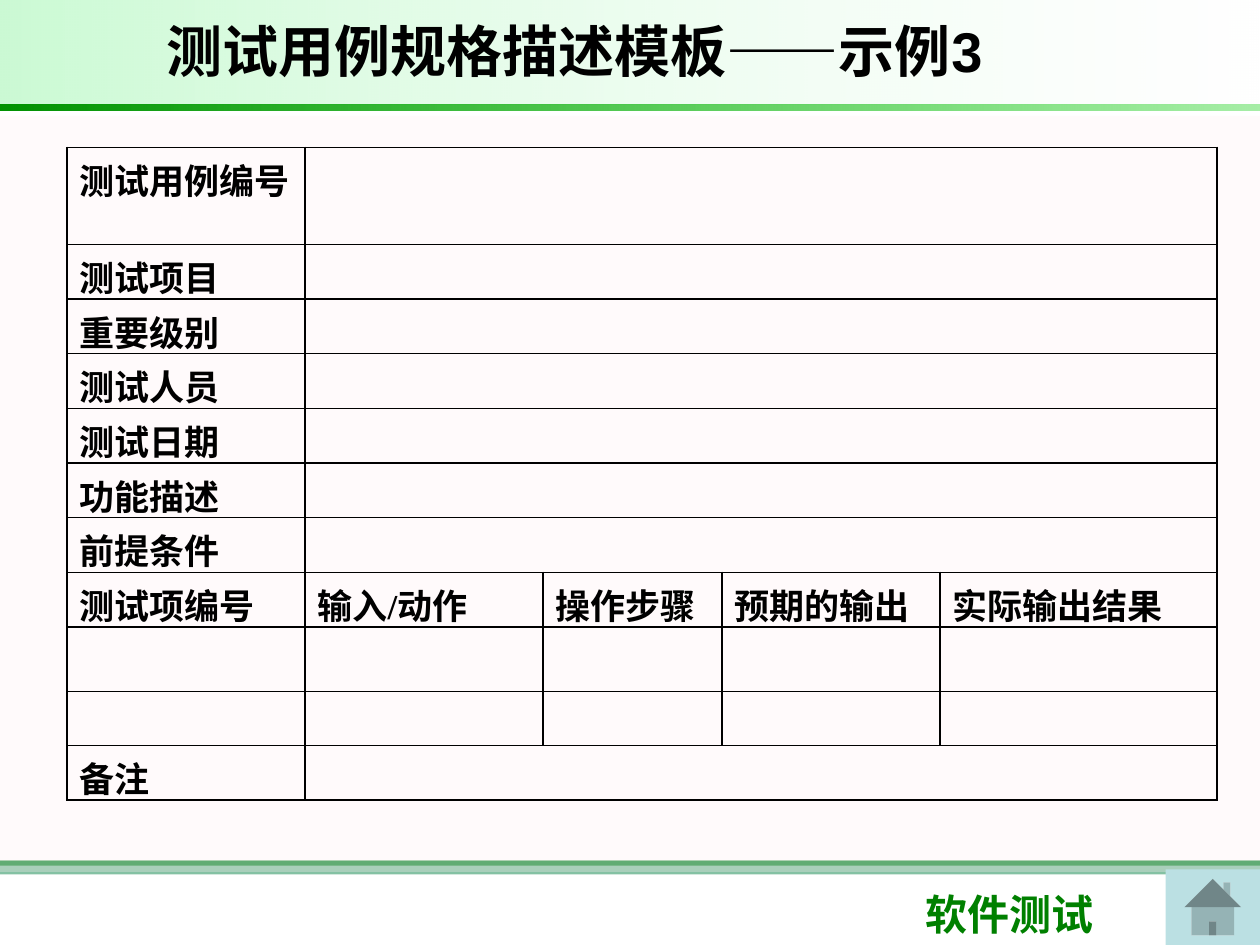
from pptx import Presentation
from pptx.dml.color import RGBColor
from pptx.enum.shapes import MSO_SHAPE
from pptx.enum.text import MSO_ANCHOR, MSO_AUTO_SIZE, PP_ALIGN
from pptx.oxml.ns import qn
from pptx.util import Inches, Pt
from lxml import etree

RECT = MSO_SHAPE.RECTANGLE
HOME = MSO_SHAPE.ACTION_BUTTON_HOME
MIDDLE = MSO_ANCHOR.MIDDLE
GROW = MSO_AUTO_SIZE.SHAPE_TO_FIT_TEXT
LEFT = PP_ALIGN.LEFT

BLACK = RGBColor(0x00, 0x00, 0x00)
WHITE = RGBColor(0xFF, 0xFF, 0xFF)
GREEN = RGBColor(0x00, 0x80, 0x00)
SEA = RGBColor(0x33, 0x99, 0x66)
BLUSH = RGBColor(0xFF, 0xF0, 0xF5)
LIME = RGBColor(0x09, 0xE7, 0x33)
GRASS = RGBColor(0x00, 0xCC, 0x00)
DEEP = RGBColor(0x00, 0x92, 0x00)
PALE = RGBColor(0xBB, 0xE0, 0xE3)

COLS = [1.89, 1.89, 1.42, 1.73, 2.2]
ROWS = [0.77] + [0.43] * 7 + [0.51] + [0.43] * 2
FIELDS = ["测试用例编号", "测试项目", "重要级别", "测试人员",
          "测试日期", "功能描述", "前提条件"]
STEPS = ["测试项编号", "输入/动作", "操作步骤", "预期的输出", "实际输出结果"]
# A row with a single label has one merged cell for its value.
CELLS = [[name] for name in FIELDS] + [STEPS, [""] * 5, [""] * 5, ["备注"]]


def fade(node, alpha):
    """Set the opacity, in percent, of the colour inside node."""
    color = next(node.iter(qn("a:srgbClr")))
    etree.SubElement(color, qn("a:alpha"), val=str(alpha * 1000))


def edge(cell):
    """Draw a thin black border round a cell."""
    props = cell._tc.get_or_add_tcPr()
    for side in ("lnL", "lnR", "lnT", "lnB"):
        line = etree.SubElement(props, qn("a:" + side), w=str(Pt(1)))
        fill = etree.SubElement(line, qn("a:solidFill"))
        etree.SubElement(fill, qn("a:srgbClr"), val=str(BLACK))


class Page:
    head = "Arial"
    body = "Times New Roman"

    def __init__(self, deck):
        self.slide = deck.slides.add_slide(deck.slide_layouts[5])
        self.shapes = self.slide.shapes

    def style(self, frame, text, size, font, color):
        frame.text = text
        para = frame.paragraphs[0]
        para.alignment = LEFT
        for run in para.runs:
            run.font.size = Pt(size)
            run.font.name = font
            run.font.bold = True
            run.font.color.rgb = color

    def shape(self, box, color=None, alpha=100, kind=RECT):
        item = self.shapes.add_shape(kind, *map(Inches, box))
        item.shadow.inherit = False
        item.line.fill.background()
        if color is not None:
            item.fill.solid()
            item.fill.fore_color.rgb = color
            if alpha < 100:
                fade(item._element.spPr, alpha)
        return item

    def band(self, box, stops):
        """Add a bar that fades from right to left."""
        item = self.shape(box)
        item.rotation = 180
        item.fill.gradient()
        item.fill.gradient_angle = 0
        nodes = item._element.spPr.iter(qn("a:gs"))
        for stop, node, (color, alpha) in zip(
                item.fill.gradient_stops, list(nodes), stops):
            stop.color.rgb = color
            fade(node, alpha)

    def label(self, box, text):
        frame = self.shapes.add_textbox(*map(Inches, box)).text_frame
        frame.word_wrap = True
        frame.auto_size = GROW
        self.style(frame, text, 24, self.head, GREEN)

    def title(self, box, text):
        item = self.shapes.title
        item.left, item.top, item.width, item.height = map(Inches, box)
        frame = item.text_frame
        frame.auto_size = GROW
        frame.vertical_anchor = MIDDLE
        self.style(frame, text, 32, self.head, BLACK)
        tree = item._element.getparent()
        tree.append(item._element)

    def table(self, left, top):
        box = (left, top, sum(COLS), sum(ROWS))
        grid = self.shapes.add_table(
            len(ROWS), len(COLS), *map(Inches, box)).table
        grid.first_row = grid.horz_banding = False
        for col, width in zip(grid.columns, COLS):
            col.width = Inches(width)
        for row, high in zip(grid.rows, ROWS):
            row.height = Inches(high)
        for cell in grid.iter_cells():
            edge(cell)
            cell.fill.background()
        for r, texts in enumerate(CELLS):
            if len(texts) == 1:
                grid.cell(r, 1).merge(grid.cell(r, len(COLS) - 1))
            for c, text in enumerate(texts):
                if text:
                    self.style(grid.cell(r, c).text_frame, text, 20,
                               self.body, BLACK)


def main():
    deck = Presentation()
    deck.slide_width, deck.slide_height = Inches(10), Inches(7.5)
    page = Page(deck)
    page.shape((0, 6.83, 10, 0.04), GREEN)
    page.shape((0, 6.83, 10, 0.11), SEA, 60)
    page.shape((0, 0.92, 10, 6), BLUSH, 30)
    page.label((7.25, 7, 2.37, 0.5), "软件测试")
    page.band((0, 0, 9.99, 0.83), [(WHITE, 10), (LIME, 21)])
    page.band((0, 0.83, 10, 0.05), [(GRASS, 35), (DEEP, 100)])
    page.title((1.22, 0.08, 7.8, 0.64), "测试用例规格描述模板——示例3")
    page.shape((9.25, 6.9, 0.75, 0.6), PALE, kind=HOME)
    page.table(0.53, 1.17)
    deck.save("out.pptx")


if __name__ == "__main__":
    main()
